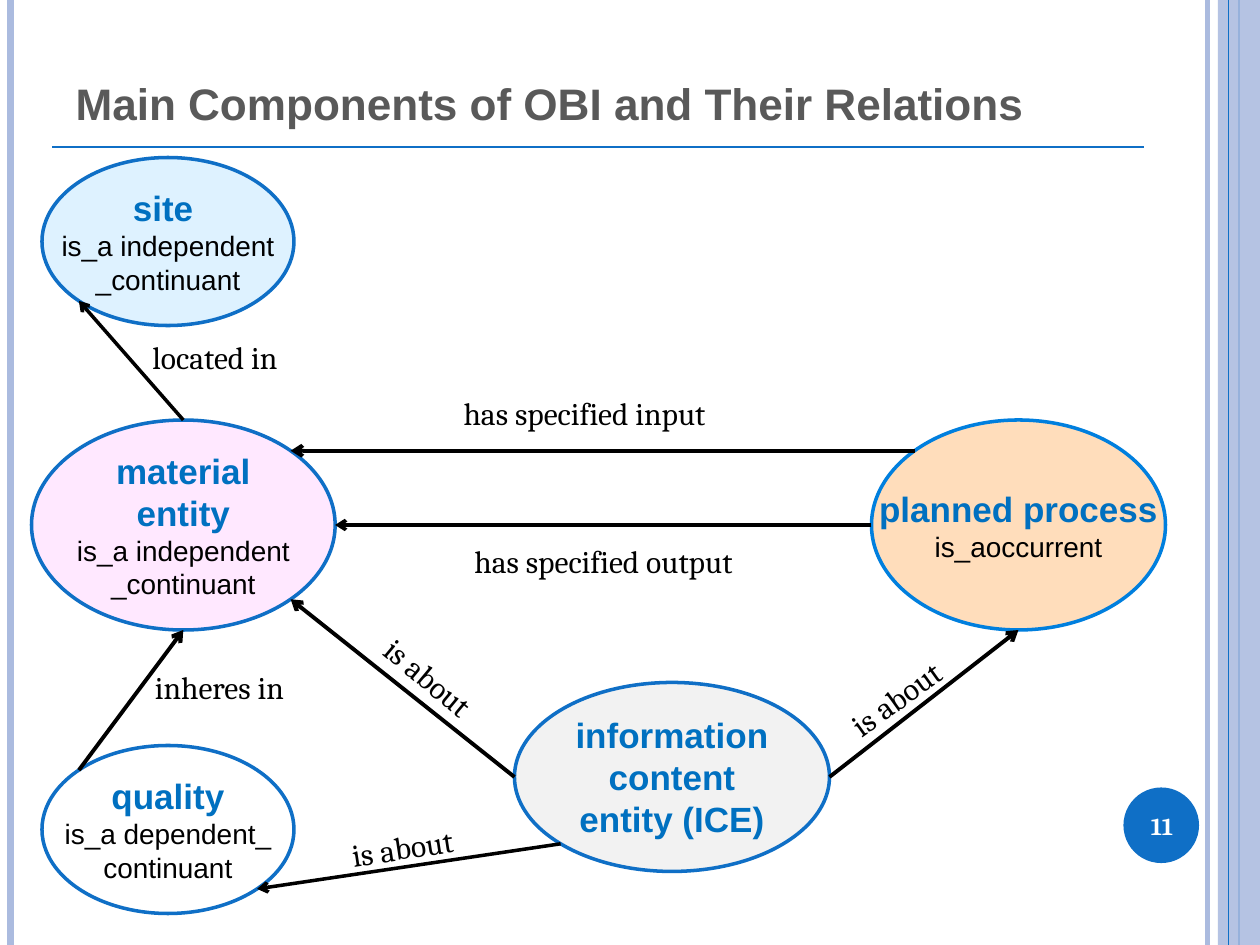
import math

import pptx
import pptx.dml.color
import pptx.enum.shapes
import pptx.enum.text
import pptx.oxml.ns
import pptx.util
from lxml import etree

Pt = pptx.util.Pt
RGBColor = pptx.dml.color.RGBColor
MSO_SHAPE = pptx.enum.shapes.MSO_SHAPE
ALIGN = pptx.enum.text.PP_ALIGN
ANCHOR = pptx.enum.text.MSO_ANCHOR
NO_FIT = pptx.enum.text.MSO_AUTO_SIZE.NONE

BLACK = RGBColor(0x00, 0x00, 0x00)
WHITE = RGBColor(0xFF, 0xFF, 0xFF)
GREY = RGBColor(0x59, 0x59, 0x59)
PALE_GREY = RGBColor(0xF2, 0xF2, 0xF2)
BLUE = RGBColor(0x0F, 0x6F, 0xC6)
BRIGHT_BLUE = RGBColor(0x00, 0x7F, 0xDE)
TERM_BLUE = RGBColor(0x00, 0x70, 0xC0)
LAVENDER = RGBColor(0xAB, 0xBB, 0xDF)
PINK = RGBColor(0xFF, 0xCC, 0xFF)
ORANGE = RGBColor(0xFF, 0xCC, 0x99)
SKY = RGBColor(0xCC, 0xEC, 0xFF)

TITLE = {"name": "Arial", "size": Pt(25.2), "bold": True}
TERM = {"name": "Arial", "size": Pt(20), "bold": True}
PARENT = {"name": "Arial", "size": Pt(16), "bold": False}
RELATION = {"name": "Cambria", "size": Pt(18), "bold": False}
NUMBER = {"name": "Cambria", "size": Pt(14), "bold": True}
NO_MARGINS = dict.fromkeys(("margin_left", "margin_top", "margin_right", "margin_bottom"), 0)

RIGHT, LOWER_RIGHT, BOTTOM, LOWER_LEFT, LEFT, UPPER_LEFT, TOP, UPPER_RIGHT = range(0, 360, 45)


def apply(target, values):
    for attribute, value in values.items():
        setattr(target, attribute, value)


def add_effect(parent, tag, **attributes):
    etree.SubElement(parent, pptx.oxml.ns.qn(tag), attributes)


def rim(entity, angle):
    left, top, width, height = entity
    turn = math.radians(angle)
    return left + width / 2 * (1 + math.cos(turn)), top + height / 2 * (1 + math.sin(turn))


class Diagram:
    def __init__(self, slide):
        self.slide = slide

    def fill_text(self, frame, lines, align, **frame_format):
        apply(frame, {"word_wrap": True, "auto_size": NO_FIT, **frame_format})
        for index, (wording, style, color) in enumerate(lines):
            paragraph = frame.paragraphs[0] if index == 0 else frame.add_paragraph()
            paragraph.alignment = align
            run = paragraph.add_run()
            run.text = wording
            apply(run.font, style)
            run.font.color.rgb = color

    def title(self, wording, box):
        heading = self.slide.shapes.title
        apply(heading, dict(zip(("left", "top", "width", "height"), map(Pt, box))))
        self.fill_text(heading.text_frame, [(wording, TITLE, GREY)], ALIGN.LEFT,
                       vertical_anchor=ANCHOR.BOTTOM)

    def area(self, kind, box, fill, opacity=100, outline=None):
        area = self.slide.shapes.add_shape(kind, *map(Pt, box))
        area.shadow.inherit = False
        area.fill.solid()
        area.fill.fore_color.rgb = fill
        if opacity < 100:
            color = area._element.spPr.find(".//" + pptx.oxml.ns.qn("a:srgbClr"))
            add_effect(color, "a:alpha", val=str(opacity * 1000))
        if outline is None:
            area.line.fill.background()
        else:
            area.line.color.rgb = outline
            area.line.width = Pt(2)
        return area

    def entity(self, box, term, parents, fill, opacity=100, outline=BLUE, **frame_format):
        oval = self.area(MSO_SHAPE.OVAL, box, fill, opacity, outline)
        lines = [(term, TERM, TERM_BLUE)] + [(parent, PARENT, BLACK) for parent in parents]
        self.fill_text(oval.text_frame, lines, ALIGN.CENTER,
                       vertical_anchor=ANCHOR.MIDDLE, **frame_format)

    def label(self, box, wording, rotation=0, style=RELATION, color=BLACK,
              align=ALIGN.LEFT, **frame_format):
        label = self.slide.shapes.add_textbox(*map(Pt, box))
        label.rotation = rotation
        self.fill_text(label.text_frame, [(wording, style, color)], align, **frame_format)

    def line(self, start, end, color, width):
        line = self.slide.shapes.add_connector(
            pptx.enum.shapes.MSO_CONNECTOR.STRAIGHT, *map(Pt, (*start, *end)))
        line.line.color.rgb = color
        line.line.width = Pt(width)
        add_effect(line._element.spPr, "a:effectLst")
        return line

    def arrow(self, start, end, width):
        arrow = self.line(start, end, BLACK, width)
        outline = arrow._element.spPr.find(pptx.oxml.ns.qn("a:ln"))
        add_effect(outline, "a:tailEnd", type="arrow")


def main():
    deck = pptx.Presentation()
    deck.slide_width, deck.slide_height = Pt(720), Pt(540)
    diagram = Diagram(deck.slides.add_slide(deck.slide_layouts[5]))

    for x, color, width in ((690, LAVENDER, 3), (6, LAVENDER, 4.5), (708, BLUE, 1.5)):
        diagram.line((x, 0), (x, 540), color, width)
    diagram.area(MSO_SHAPE.RECTANGLE, (696, 0, 24, 540), LAVENDER, 87)
    diagram.line((702, 0), (702, 540), BLUE, 0.75)
    diagram.area(MSO_SHAPE.OVAL, (642, 450, 43.2, 43.2), BLUE)
    diagram.line((30, 84), (654, 84), BLUE, 0.75)
    diagram.title("Main Components of OBI and Their Relations", (36, 21.6, 600, 56))
    diagram.label((640, 451.4, 48, 41), "11", style=NUMBER, color=WHITE,
                  align=ALIGN.CENTER, vertical_anchor=ANCHOR.MIDDLE)

    site = (24, 90, 144, 96)
    material = (18, 240, 173.5, 120)
    quality = (24, 426, 144, 96)
    information = (294, 390, 180, 108)
    process = (498, 240, 168, 120)

    unwrapped = {"word_wrap": False, **NO_MARGINS}
    continuant = ("is_a independent", "_continuant")
    diagram.entity(material, "material entity", continuant, PINK, 45, **NO_MARGINS)
    diagram.entity(information, "information content entity (ICE)", (), PALE_GREY)
    diagram.entity(process, "planned process", ("is_aoccurrent",), ORANGE, 66,
                   BRIGHT_BLUE, **unwrapped)
    diagram.entity(quality, "quality", ("is_a dependent_", "continuant"), WHITE, **unwrapped)
    diagram.entity(site, "site ", continuant, SKY, 64, **unwrapped)

    for source, source_side, target, target_side, width in (
        (process, UPPER_LEFT, material, UPPER_RIGHT, 2.25),
        (quality, UPPER_LEFT, material, BOTTOM, 2.25),
        (information, LEFT, material, LOWER_RIGHT, 2.25),
        (information, RIGHT, process, BOTTOM, 2.25),
        (material, TOP, site, LOWER_LEFT, 2),
        (process, LEFT, material, RIGHT, 2),
        (information, LOWER_LEFT, quality, LOWER_RIGHT, 2),
    ):
        diagram.arrow(rim(source, source_side), rim(target, target_side), width)

    for left, top, width, wording in (
        (80, 189.4, 106.5, "located in"),
        (257.8, 221.8, 186.5, "has specified input"),
        (264, 306, 186.5, "has specified output"),
        (81.4, 378, 105, "inheres in"),
    ):
        diagram.label((left, top, width, 29), wording)
    for left, top, rotation in ((475.2, 383, 324.4), (208, 374.4, 39.9), (193.7, 469.4, 351.3)):
        diagram.label((left, top, 77.8, 29), "is about", rotation, word_wrap=False)

    deck.save("out.pptx")


if __name__ == "__main__":
    main()
